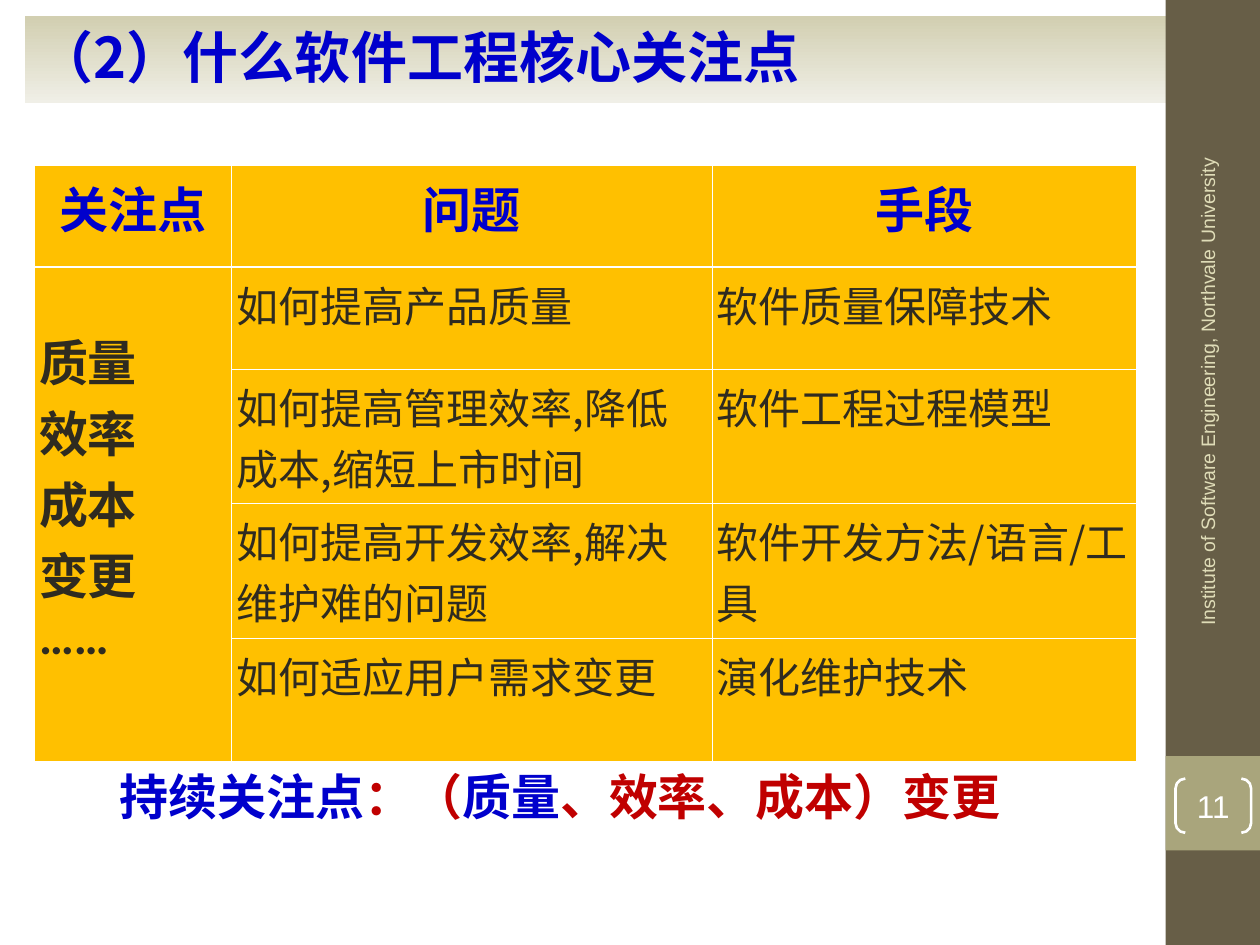
from dataclasses import dataclass

from lxml import etree
from pptx import Presentation
from pptx.dml.color import RGBColor
from pptx.enum import shapes, text
from pptx.oxml import ns
from pptx.util import Inches, Pt


@dataclass(frozen=True)
class Theme:
    blue: str = "0000CC"
    red: str = "C00000"
    dark: str = "2F2B20"
    white: str = "FFFFFF"
    gold: str = "FFC000"
    bar: str = "675E47"
    olive: str = "A9A57C"
    pale: str = "DFDCB7"
    fade: tuple = ("D2CFB1", "F0EFE7")
    cjk: str = "Noto Sans CJK SC"
    latin: str = "Arial"
    head: str = "Calibri"
    title: float = 32
    big: float = 28
    body: float = 24
    page: float = 18
    side: float = 11.1
    thin: float = 0.45
    thick: float = 1.47


T = Theme()
ALIGN = text.PP_ALIGN
ANCHOR = text.MSO_ANCHOR

COLS = (1.57, 3.81, 3.37)
ROWS = (0.81, 0.81, 0.9, 0.9, 0.98)
HEADS = ("关注点", "问题", "手段")
FOCUS = ("质量", "效率", "成本", "变更", "……")
PAIRS = (
    ("如何提高产品质量", "软件质量保障技术"),
    ("如何提高管理效率,降低成本,缩短上市时间", "软件工程过程模型"),
    ("如何提高开发效率,解决维护难的问题", "软件开发方法/语言/工具"),
    ("如何适应用户需求变更", "演化维护技术"),
)


def rgb(code):
    return RGBColor.from_string(code)


def box(left, top, width, height):
    return [Inches(v) for v in (left, top, width, height)]


def place(shape, *spot):
    shape.left, shape.top, shape.width, shape.height = box(*spot)


def add_run(para, words, size, color, bold=False, face=T.cjk):
    run = para.add_run()
    run.text = words
    font = run.font
    font.size, font.bold, font.name = Pt(size), bold, face
    font.color.rgb = rgb(color)
    east = etree.SubElement(run._r.get_or_add_rPr(), ns.qn("a:ea"))
    east.set("typeface", T.cjk)


def set_frame(frame, anchor=ANCHOR.TOP):
    frame.word_wrap = True
    frame.auto_size = text.MSO_AUTO_SIZE.NONE
    frame.vertical_anchor = anchor
    return frame.paragraphs[0]


def add_block(slide, spot, color):
    block = slide.shapes.add_shape(shapes.MSO_SHAPE.RECTANGLE, *box(*spot))
    block.shadow.inherit = False
    block.fill.solid()
    block.fill.fore_color.rgb = rgb(color)
    block.line.fill.background()


def add_page(slide, number):
    mark = slide.shapes.add_shape(shapes.MSO_SHAPE.DOUBLE_BRACKET,
                                  *box(9.33, 6.18, 0.6, 0.43))
    mark.shadow.inherit = False
    mark.adjustments[0] = 0.18
    mark.fill.background()
    mark.line.color.rgb = rgb(T.white)
    mark.line.width = Pt(1.5)
    frame = mark.text_frame
    frame.margin_left = frame.margin_right = 0
    frame.margin_top = frame.margin_bottom = 0
    para = set_frame(frame, ANCHOR.MIDDLE)
    para.alignment = ALIGN.CENTER
    add_run(para, number, T.page, T.white, face=T.latin)


def add_side(slide, words):
    label = slide.shapes.add_textbox(*box(7.21, 3.34, 4.77, 0.4))
    label.rotation = 270
    para = set_frame(label.text_frame, ANCHOR.MIDDLE)
    para.alignment = ALIGN.RIGHT
    para.line_spacing = 0.9
    add_run(para, words, T.side, T.pale, face=T.latin)


def set_title(slide, words):
    title = slide.shapes.title
    place(title, 0.2, 0.13, 9.06, 0.69)
    title.fill.gradient()
    title.fill.gradient_angle = 270
    for stop, color, spot in zip(title.fill.gradient_stops, T.fade, (0, 1)):
        stop.color.rgb = rgb(color)
        stop.position = spot
    para = set_frame(title.text_frame)
    para.alignment = ALIGN.LEFT
    add_run(para, words, T.title, T.blue, True)


def set_note(slide, parts):
    note = slide.placeholders[1]
    place(note, 0.35, 6.03, 8.5, 1.04)
    para = set_frame(note.text_frame)
    para.level = 1
    para.space_before = Pt(0)
    props = para._p.get_or_add_pPr()
    props.set("marL", str(Inches(0.5)))
    props.set("indent", "0")
    etree.SubElement(props, ns.qn("a:buNone"))
    for words, color in parts:
        add_run(para, words, T.big, color, True)


def style_cell(cell, row):
    """Set margins, white borders (thick under the header) and fill."""
    cell.margin_left = cell.margin_right = Inches(0.04)
    cell.margin_top = cell.margin_bottom = Inches(0.05)
    props = cell._tc.get_or_add_tcPr()
    for side in "LRTB":
        under = (row, side) in ((0, "B"), (1, "T"))
        line = etree.SubElement(props, ns.qn(f"a:ln{side}"))
        line.set("w", str(Pt(T.thick if under else T.thin)))
        fill = etree.SubElement(line, ns.qn("a:solidFill"))
        etree.SubElement(fill, ns.qn("a:srgbClr")).set("val", T.white)
    cell.fill.solid()
    cell.fill.fore_color.rgb = rgb(T.gold)


def add_grid(slide):
    spot = box(0.27, 1.31, sum(COLS), sum(ROWS))
    grid = slide.shapes.add_table(len(ROWS), len(COLS), *spot).table
    for col, width in zip(grid.columns, COLS):
        col.width = Inches(width)
    for r, height in enumerate(ROWS):
        grid.rows[r].height = Inches(height)
        for c in range(len(COLS)):
            style_cell(grid.cell(r, c), r)

    for c, words in enumerate(HEADS):
        para = grid.cell(0, c).text_frame.paragraphs[0]
        para.alignment = ALIGN.CENTER
        add_run(para, words, T.big, T.blue, True, T.head)

    focus = grid.cell(1, 0)
    focus.merge(grid.cell(len(ROWS) - 1, 0))
    focus.margin_top = Inches(0.46)
    frame = focus.text_frame
    for i, words in enumerate(FOCUS):
        para = frame.add_paragraph() if i else frame.paragraphs[0]
        add_run(para, words, T.big, T.dark, True, T.head)

    for r, pair in enumerate(PAIRS, 1):
        for c, words in enumerate(pair, 1):
            para = grid.cell(r, c).text_frame.paragraphs[0]
            add_run(para, words, T.body, T.dark)


def main():
    deck = Presentation()
    deck.slide_width, deck.slide_height = Inches(10), Inches(7.5)
    slide = deck.slides.add_slide(deck.slide_layouts[1])
    add_block(slide, (9.25, 0, 0.75, 7.5), T.bar)
    add_block(slide, (9.25, 6, 0.75, 0.75), T.olive)
    add_page(slide, "11")
    set_title(slide, "（2）什么软件工程核心关注点")
    add_grid(slide)
    add_side(slide, "Institute of Software Engineering, Northvale University")
    set_note(slide, (("持续关注点", T.blue), ("：（", T.red),
                     ("质量", T.blue), ("、效率、成本）变更", T.red)))
    deck.save("out.pptx")


if __name__ == "__main__":
    main()
